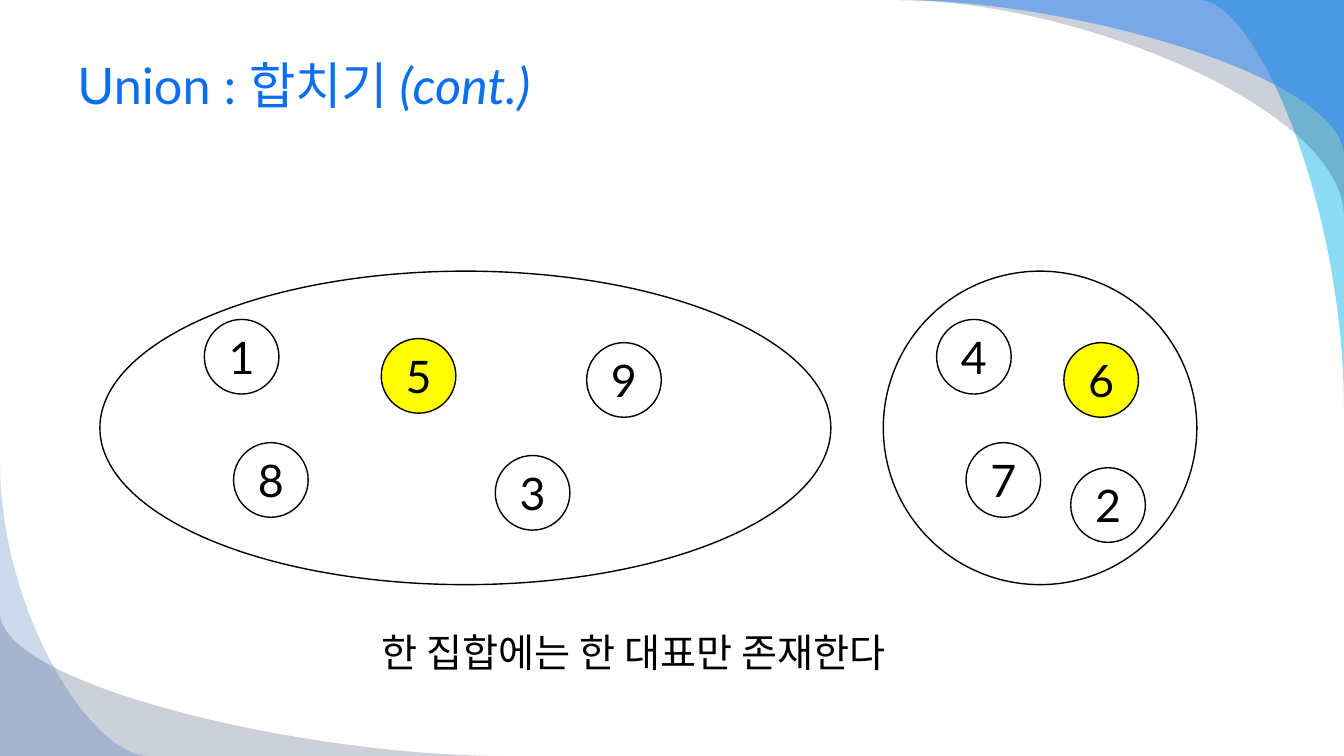
import pptx
import pptx.dml.color
import pptx.enum.shapes
import pptx.enum.text
import pptx.oxml.ns
import pptx.util
from lxml import etree

WIDTH = pptx.util.Inches(13.33)
HEIGHT = pptx.util.Inches(7.5)
COL, ROW = WIDTH / 100, HEIGHT / 100
NODE = pptx.util.Inches(0.74)
FONT = "Lato"
COLORS = {
    "title": "0C6FF2", "ink": "000000", "paper": "FFFFFF", "leader": "FFFF00",
    "cyan": "00B1E9", "navy": "021741", "blue": "247FF4", "royal": "084AA1",
}
# Corner column, corner row, reach in columns, reach in rows, colour, opacity.
SWOOSHES = [
    (100, 0, -10.8, 54.4, "cyan", 45),
    (100, 0, -33.31, 28.67, "navy", 20),
    (100, 0, -33.31, 20.67, "blue", 49),
    (0, 100, 37.5, -18.93, "navy", 20),
    (0, 100, 11.1, -38.93, "royal", 20),
]
# Box in columns and rows, leader, and node centres as percentages of the box.
SETS = [
    ((7.43, 35.87, 54.39, 41.47), "5",
     {"1": (19.4, 27.3), "5": (43.6, 33.4), "8": (23.4, 66.6),
      "9": (71.7, 34.7), "3": (59.2, 70.7)}),
    ((65.72, 35.87, 23.33, 41.47), "6",
     {"4": (28.9, 27.3), "6": (69.5, 34.7), "7": (38.3, 66.6),
      "2": (71.7, 74.6)}),
]


def rgb(name):
    """Return the named colour."""
    return pptx.dml.color.RGBColor.from_string(COLORS[name])


def grid_box(left, top, width, height):
    """Turn columns and rows into slide lengths."""
    return [round(n) for n in (left * COL, top * ROW, width * COL, height * ROW)]


def style_runs(paragraph, size, color):
    """Give every run of a paragraph the slide's font."""
    for run in paragraph.runs:
        run.font.name = FONT
        run.font.size = pptx.util.Pt(size)
        run.font.color.rgb = rgb(color)


def add_swoosh(slide, corner_col, corner_row, reach_col, reach_row, color, opacity):
    """Fill a slide corner up to a curve between its two edges."""
    steps = 48
    curve = []
    for step in range(steps + 1):
        t = step / steps
        along = 1.2 * t * (1 - t) ** 2 + 3 * t ** 2 * (1 - t) + t ** 3
        away = 1.5 * t ** 2 * (1 - t) + t ** 3
        curve.append(((corner_col + reach_col * (1 - along)) * COL,
                      (corner_row + reach_row * away) * ROW))
    builder = slide.shapes.build_freeform(corner_col * COL, corner_row * ROW)
    builder.add_line_segments(curve, close=True)
    swoosh = builder.convert_to_shape()
    swoosh.shadow.inherit = False
    swoosh.line.fill.background()
    swoosh.fill.solid()
    swoosh.fill.fore_color.rgb = rgb(color)
    tint = swoosh.fill._xPr.find(".//" + pptx.oxml.ns.qn("a:srgbClr"))
    etree.SubElement(tint, pptx.oxml.ns.qn("a:alpha"), val=str(opacity * 1000))


def add_ellipse(slide, box, fill):
    """Draw a thinly outlined ellipse in the box."""
    ellipse = slide.shapes.add_shape(pptx.enum.shapes.MSO_SHAPE.OVAL, *box)
    ellipse.shadow.inherit = False
    ellipse.fill.solid()
    ellipse.fill.fore_color.rgb = rgb(fill)
    ellipse.line.color.rgb = rgb("ink")
    ellipse.line.width = pptx.util.Pt(1)
    return ellipse


def add_set(slide, box, leader, members):
    """Draw a set with its numbered nodes and highlighted leader."""
    left, top, width, height = box
    add_ellipse(slide, box, "paper")
    for number, (across, down) in members.items():
        node_left = round(left + width * across / 100 - NODE / 2)
        node_top = round(top + height * down / 100 - NODE / 2)
        fill = "leader" if number == leader else "paper"
        node = add_ellipse(slide, (node_left, node_top, NODE, NODE), fill)
        frame = node.text_frame
        frame.text = number
        frame.vertical_anchor = pptx.enum.text.MSO_ANCHOR.MIDDLE
        frame.paragraphs[0].alignment = pptx.enum.text.PP_ALIGN.CENTER
        style_runs(frame.paragraphs[0], 32, "ink")


def add_title(slide, box):
    """Write the slide title with its italic continuation mark."""
    frame = slide.shapes.add_textbox(*box).text_frame
    frame.word_wrap = True
    frame.vertical_anchor = pptx.enum.text.MSO_ANCHOR.MIDDLE
    title = frame.paragraphs[0]
    title.text = "Union : 합치기 "
    continuation = title.add_run()
    continuation.text = "(cont.)"
    continuation.font.italic = True
    style_runs(title, 36, "title")


def add_caption(slide, box):
    """Write the remark below the sets."""
    frame = slide.shapes.add_textbox(*box).text_frame
    frame.word_wrap = False
    frame.auto_size = pptx.enum.text.MSO_AUTO_SIZE.SHAPE_TO_FIT_TEXT
    frame.text = "한 집합에는 한 대표만 존재한다"
    style_runs(frame.paragraphs[0], 28, "ink")


def main():
    """Build and save the slide."""
    deck = pptx.Presentation()
    deck.slide_width, deck.slide_height = WIDTH, HEIGHT
    slide = deck.slides.add_slide(deck.slide_layouts[6])
    for swoosh in SWOOSHES:
        add_swoosh(slide, *swoosh)
    add_title(slide, grid_box(5.03, 4.4, 90, 13.47))
    for box, leader, members in SETS:
        add_set(slide, grid_box(*box), leader, members)
    add_caption(slide, grid_box(27.68, 82.4, 41.79, 7.6))
    deck.save("out.pptx")


if __name__ == "__main__":
    main()
